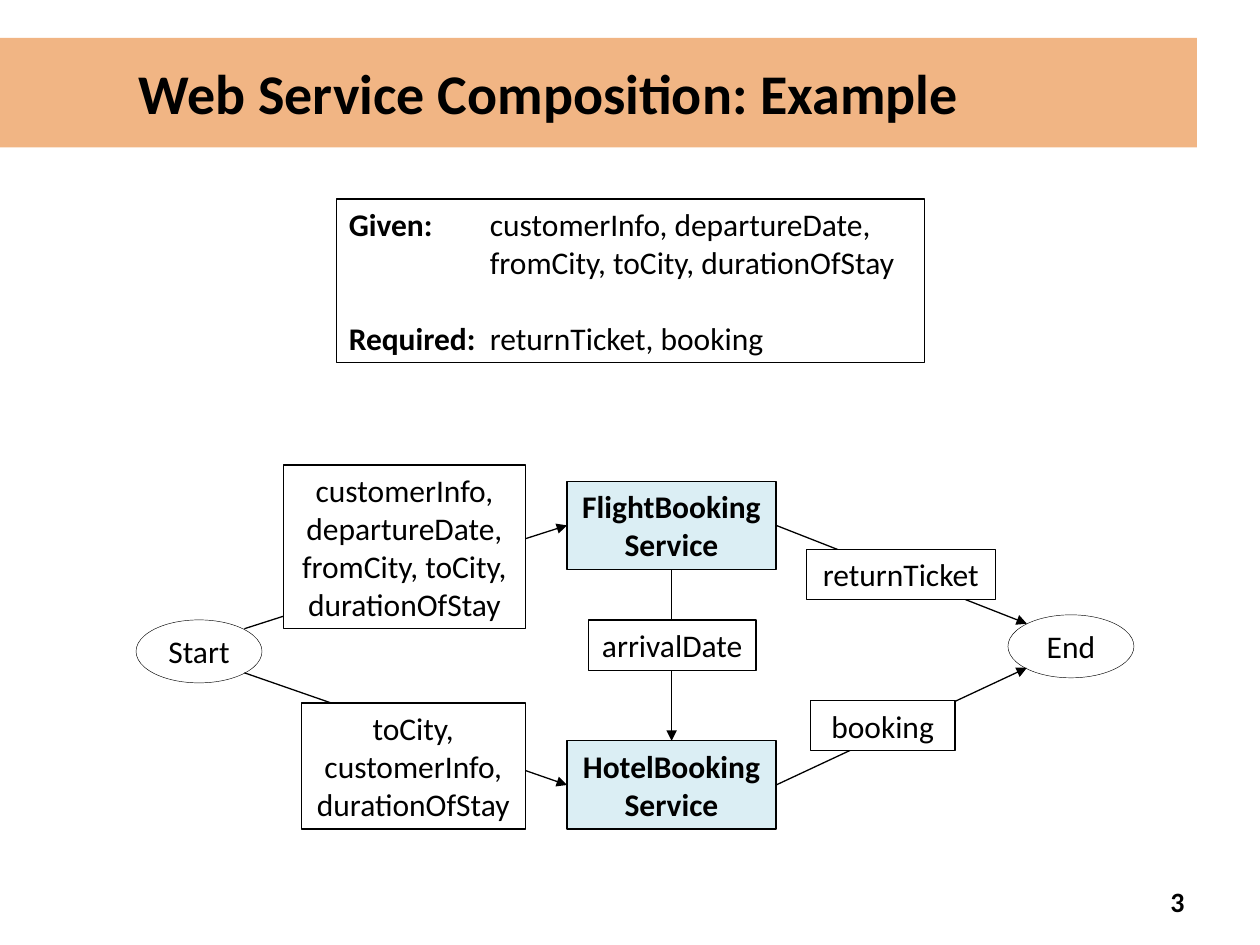
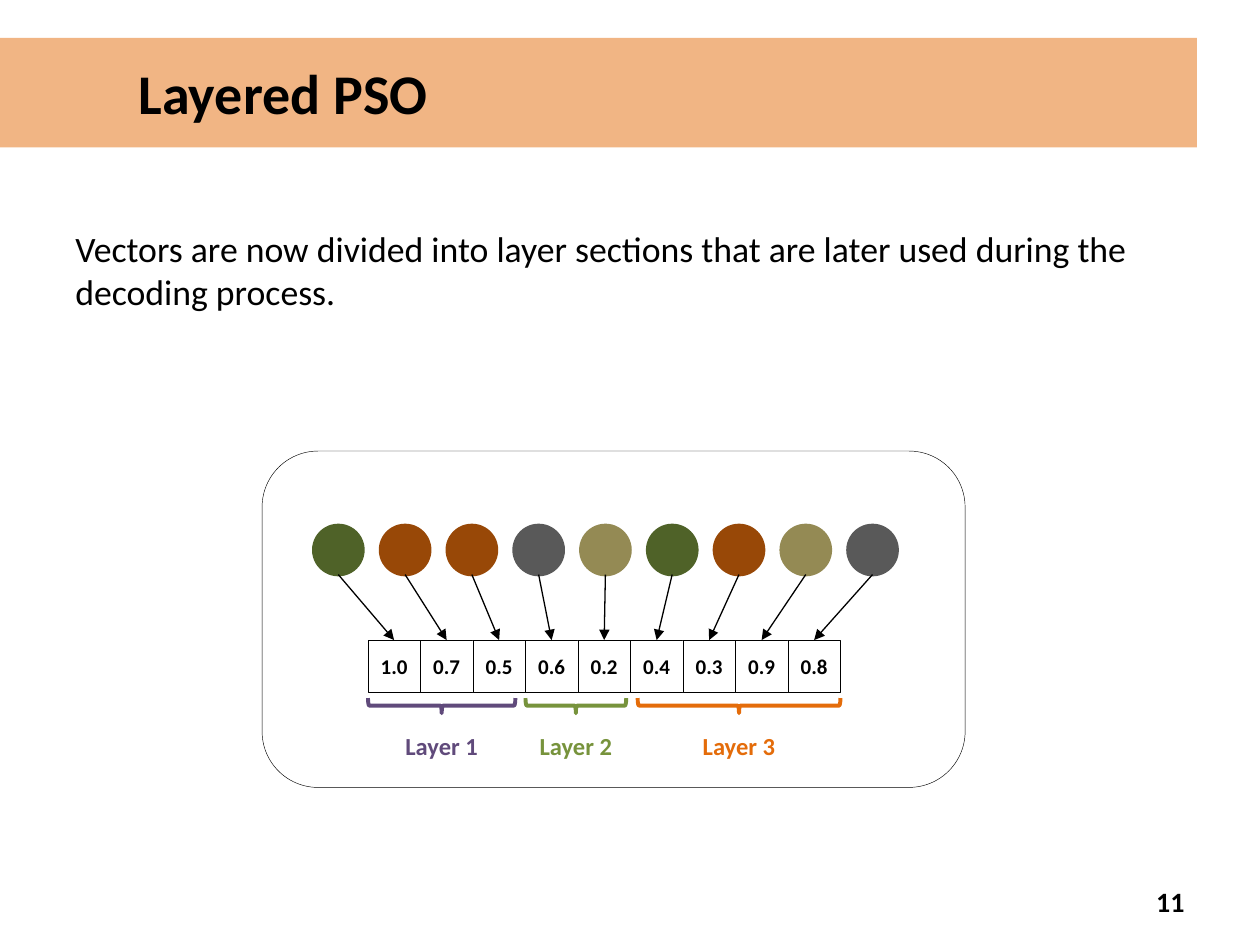
from lxml.etree import SubElement
from pptx import Presentation
from pptx.dml.color import RGBColor
from pptx.enum.shapes import MSO_CONNECTOR, MSO_SHAPE
from pptx.enum.text import MSO_ANCHOR, MSO_AUTO_SIZE, PP_ALIGN
from pptx.oxml.ns import qn
from pptx.util import Inches, Pt

BLACK = RGBColor(0x00, 0x00, 0x00)
WHITE = RGBColor(0xFF, 0xFF, 0xFF)
ORANGE = RGBColor(0xE4, 0x6C, 0x0A)
PALE_BLUE = RGBColor(0xDB, 0xEE, 0xF4)
GREEN = RGBColor(0x4F, 0x62, 0x28)
BROWN = RGBColor(0x98, 0x48, 0x07)
GREY = RGBColor(0x59, 0x59, 0x59)
KHAKI = RGBColor(0x94, 0x8A, 0x54)
PURPLE = RGBColor(0x60, 0x4A, 0x7B)
LIME = RGBColor(0x77, 0x93, 0x3C)
FONT = "Calibri"

LEFT, CENTER, RIGHT = PP_ALIGN.LEFT, PP_ALIGN.CENTER, PP_ALIGN.RIGHT
TOP, MIDDLE = MSO_ANCHOR.TOP, MSO_ANCHOR.MIDDLE


def write_text(frame, text, size=18, bold=False, color=BLACK, align=CENTER,
               anchor=TOP, indent=0.1, inset=0.1, tab=None, gaps=()):
    """Fill a frame, one paragraph a line.

    With a tab stop, the part before the tab is bold. gaps lists the
    points of space before each paragraph.
    """
    frame.word_wrap = True
    frame.auto_size = MSO_AUTO_SIZE.NONE
    frame.vertical_anchor = anchor
    frame.margin_left, frame.margin_right = Inches(indent), Inches(inset)
    frame.margin_top = frame.margin_bottom = Inches(0.05)
    for number, line in enumerate(text.split("\n")):
        paragraph = frame.add_paragraph() if number else frame.paragraphs[0]
        paragraph.alignment = align
        if number < len(gaps):
            paragraph.space_before = Pt(gaps[number])
        parts = [(line, bold)]
        if tab:
            lead, rest = line.split("\t")
            parts = [(lead, True), ("\t" + rest, False)]
            stops = SubElement(paragraph._p.get_or_add_pPr(), qn("a:tabLst"))
            SubElement(stops, qn("a:tab"), pos=str(Inches(tab)), algn="l")
        for part, is_bold in parts:
            if part:
                run = paragraph.add_run()
                run.text = part
                run.font.name, run.font.size = FONT, Pt(size)
                run.font.bold, run.font.color.rgb = is_bold, color


class Deck:
    """Holds the shared style and the current slide."""

    def __init__(self):
        self.presentation = Presentation()
        self.presentation.slide_width = Inches(10)
        self.presentation.slide_height = Inches(7.5)
        self.slide = None

    def start_slide(self, heading, number):
        self.slide = self.presentation.slides.add_slide(
            self.presentation.slide_layouts[5])
        # Title on a half-transparent band
        title = self.slide.shapes.title
        title.left, title.top = Inches(0), Inches(0.3)
        title.width, title.height = Inches(9.5), Inches(0.87)
        title.fill.solid()
        title.fill.fore_color.rgb = ORANGE
        band_color = title._element.spPr.find(".//" + qn("a:srgbClr"))
        SubElement(band_color, qn("a:alpha"), val="50000")
        write_text(title.text_frame, heading, size=32, bold=True, align=LEFT,
                   anchor=MIDDLE, indent=1.1)
        # Page number
        self.text(str(number), 7.17, 6.95, 2.33, 0.4, size=16, bold=True,
                  align=RIGHT, anchor=MIDDLE)

    def text(self, text, left, top, width, height, **style):
        box = self.slide.shapes.add_textbox(
            Inches(left), Inches(top), Inches(width), Inches(height))
        write_text(box.text_frame, text, **style)

    def shape(self, kind, left, top, width, height, text="", fill=WHITE,
              line=BLACK, weight=0.75, **style):
        shape = self.slide.shapes.add_shape(
            kind, Inches(left), Inches(top), Inches(width), Inches(height))
        shape.shadow.inherit = False
        if fill is None:
            shape.fill.background()
        else:
            shape.fill.solid()
            shape.fill.fore_color.rgb = fill
        shape.line.color.rgb, shape.line.width = line, Pt(weight)
        if text:
            write_text(shape.text_frame, text, **style)
        return shape

    def box(self, text, left, top, width, height, **style):
        return self.shape(MSO_SHAPE.RECTANGLE, left, top, width, height,
                          text, **style)

    def arrow(self, start, end):
        """Each end is an (x, y) point or a (shape, side) pair."""
        points = [(0, 0) if hasattr(place[0], "left")
                  else (Inches(place[0]), Inches(place[1]))
                  for place in (start, end)]
        arrow = self.slide.shapes.add_connector(
            MSO_CONNECTOR.STRAIGHT, *points[0], *points[1])
        for place, connect in ((start, arrow.begin_connect),
                               (end, arrow.end_connect)):
            if hasattr(place[0], "left"):
                connect(*place)
        arrow.line.color.rgb, arrow.line.width = BLACK, Pt(0.75)
        SubElement(arrow.line._get_or_add_ln(), qn("a:tailEnd"),
                   type="triangle")
        SubElement(arrow._element.spPr, qn("a:effectLst"))

    def brace(self, left, top, width, depth, color):
        """Draw a brace that opens upward, by turning a right brace."""
        brace = self.shape(
            MSO_SHAPE.RIGHT_BRACE, left + (width - depth) / 2,
            top + (depth - width) / 2, depth, width,
            fill=None, line=color, weight=2.25)
        brace.rotation = 90


def add_composition_slide(deck):
    deck.start_slide("Web Service Composition: Example", 3)

    # Task
    deck.box("Given:\tcustomerInfo, departureDate,\n"
             "\tfromCity, toCity, durationOfStay\n"
             "Required:\treturnTicket, booking",
             2.67, 1.58, 4.67, 1.3, align=LEFT, tab=1.12, gaps=(0, 0, 22))

    # Services
    flight, hotel = [
        deck.box(f"{name}\nService", 4.5, top, 1.66, 0.7,
                 fill=PALE_BLUE, bold=True)
        for name, top in (("FlightBooking", 3.82), ("HotelBooking", 5.88))]

    # Start and end
    for name, left, top in (("Start", 1.08, 4.92), ("End", 8, 4.88)):
        deck.shape(MSO_SHAPE.OVAL, left, top, 1, 0.5, name, weight=0.25,
                   anchor=MIDDLE)

    # Flow
    for start, end in (((1.94, 4.99), (flight, 1)),
                       ((1.94, 5.34), (hotel, 1)),
                       ((flight, 3), (8.15, 4.95)),
                       ((hotel, 3), (8.15, 5.3)),
                       ((flight, 2), (hotel, 0))):
        deck.arrow(start, end)

    # Data passed along the flow
    for data, left, top, width, height in (
            ("arrivalDate", 4.67, 4.92, 1.33, 0.4),
            ("returnTicket", 6.4, 4.36, 1.5, 0.4),
            ("booking", 6.43, 5.56, 1.15, 0.4),
            ("toCity,\ncustomerInfo,\ndurationOfStay", 2.39, 5.58, 1.78, 1),
            ("customerInfo,\ndepartureDate,\nfromCity, toCity,\n"
             "durationOfStay", 2.25, 3.69, 1.92, 1.3)):
        deck.box(data, left, top, width, height)


def add_layered_slide(deck):
    deck.start_slide("Layered PSO", 11)
    deck.text("Vectors are now divided into layer sections that are later "
              "used during the decoding process.",
              0.5, 1.75, 9, 0.83, size=20.4, align=LEFT)

    # Frame
    deck.shape(MSO_SHAPE.ROUNDED_RECTANGLE, 2.08, 3.58, 5.58, 2.67,
               weight=0.25)

    # Services mapped to vector entries
    services = (GREEN, BROWN, BROWN, GREY, KHAKI, GREEN, BROWN, KHAKI, GREY)
    weights = ("1.0", "0.7", "0.5", "0.6", "0.2", "0.4", "0.3", "0.9", "0.8")
    cell = 3.75 / len(weights)
    diameter, pitch = 0.39, 0.53
    for index, (color, weight) in enumerate(zip(services, weights)):
        left = 2.49 + index * pitch
        entry = deck.box(weight, 2.92 + index * cell, 5.08, cell, cell,
                         weight=0.25, size=12, bold=True, anchor=MIDDLE,
                         indent=0.05, inset=0.05)
        deck.shape(MSO_SHAPE.OVAL, left, 4.17, diameter, diameter,
                   fill=color, line=color, weight=2)
        deck.arrow((left + diameter / 2, 4.17 + diameter), (entry, 0))

    # Layers
    for name, left, width, color in (("Layer 1", 2.92, 1.17, PURPLE),
                                     ("Layer 2", 4.17, 0.8, LIME),
                                     ("Layer 3", 5.06, 1.61, ORANGE)):
        deck.brace(left, 5.54, width, 0.12, color)
        deck.text(name, left, 5.75, width, 0.34, size=14, bold=True,
                  color=color)


def main():
    deck = Deck()
    add_composition_slide(deck)
    add_layered_slide(deck)
    deck.presentation.save("out.pptx")


if __name__ == "__main__":
    main()
